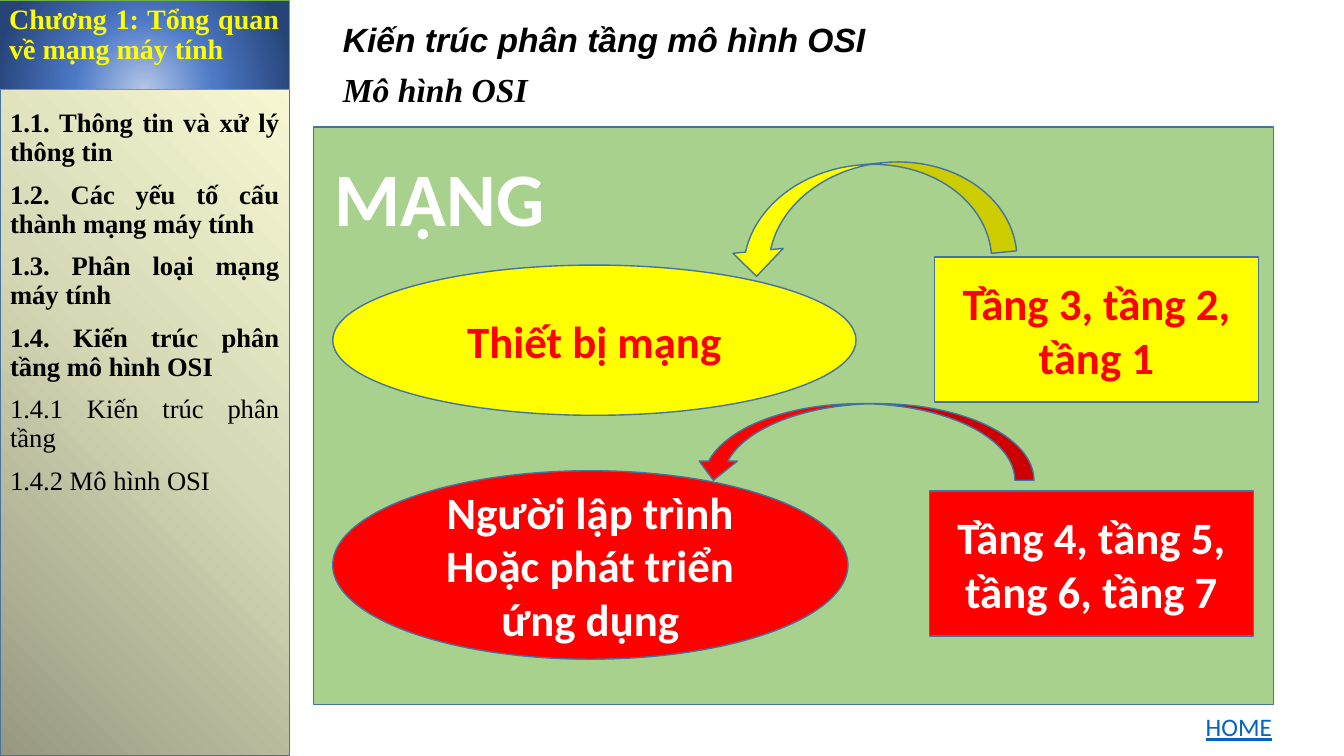
from lxml.etree import SubElement
from pptx import Presentation
from pptx.dml.color import RGBColor
from pptx.enum.shapes import MSO_CONNECTOR, MSO_SHAPE
from pptx.enum.text import MSO_ANCHOR, MSO_AUTO_SIZE, PP_ALIGN
from pptx.oxml import parse_xml
from pptx.oxml.ns import nsdecls, qn
from pptx.util import Emu, Pt

PX = 9144  # 100 px to the inch
BLACK = RGBColor(0x00, 0x00, 0x00)
WHITE = RGBColor(0xFF, 0xFF, 0xFF)
RED = RGBColor(0xFF, 0x00, 0x00)
YELLOW = RGBColor(0xFF, 0xFF, 0x00)
GREEN = RGBColor(0xA9, 0xD1, 0x8E)
BORDER_GREEN = RGBColor(0x70, 0xAD, 0x47)
OUTLINE_BLUE = RGBColor(0x43, 0x73, 0x9E)
RULE_BLUE = RGBColor(0x5B, 0x9B, 0xD5)
LINK_BLUE = RGBColor(0x05, 0x63, 0xC1)


def write(sp, lines, font, size, color, align):
    """Fill a shape with bold paragraphs; placeholders lose their bullets."""
    tf = sp.text_frame
    tf.text = "\n".join(lines)
    tf.word_wrap = True
    for i, p in enumerate(tf.paragraphs):
        p.alignment = align
        if sp.is_placeholder:
            p.line_spacing = 0.9
            p.space_before = Pt(10 if i else 0)
            pPr = p._p.get_or_add_pPr()
            pPr.set("marL", "0")
            pPr.set("indent", "0")
            SubElement(pPr, qn("a:buNone"))
        f = p.runs[0].font
        f.name, f.size, f.bold = font, Pt(size), True
        f.color.rgb = color
    return tf


def gradient(sp, stops, direction):
    """Give a shape a gradient fill; stops are (percent, colour)."""
    gs = "".join(f'<a:gs pos="{pos * 1000}"><a:srgbClr val="{c}"/></a:gs>' for pos, c in stops)
    sp.fill.background()
    spPr = sp._element.spPr
    spPr.replace(spPr.find(qn("a:noFill")), parse_xml(
        f'<a:gradFill {nsdecls("a")} rotWithShape="1"><a:gsLst>{gs}</a:gsLst>{direction}</a:gradFill>'))


prs = Presentation()
prs.slide_width, prs.slide_height = Emu(1333 * PX), Emu(750 * PX)
s = prs.slides.add_slide(prs.slide_layouts[3])
chapter, heading, outline = s.placeholders

# Sidebar background and rule, behind the placeholders
rule = s.shapes.add_connector(MSO_CONNECTOR.STRAIGHT, 287 * PX, 0, 287 * PX, 750 * PX)
rule.line.color.rgb, rule.line.width = RULE_BLUE, Pt(1.5)
SubElement(rule._element.spPr, qn("a:effectLst"))
sidebar = s.shapes.add_shape(MSO_SHAPE.RECTANGLE, 0, 0, 287 * PX, 750 * PX)
sidebar.shadow.inherit = False
gradient(sidebar, [(0, "979880"), (50, "D7D8B5"), (100, "FEFFD9")],
         '<a:lin ang="18900000" scaled="0"/>')
sidebar.line.color.rgb, sidebar.line.width = OUTLINE_BLUE, Pt(1)
for i, sp in enumerate((rule, sidebar)):
    s.shapes._spTree.insert(2 + i, sp._element)

# Chapter title, slide heading and chapter outline
for sp, box in ((chapter, (-1, 0, 288, 89)), (heading, (330, 18, 995, 711)),
                (outline, (0, 104, 287, 637))):
    sp.left, sp.top, sp.width, sp.height = (Emu(v * PX) for v in box)
    sp.text_frame.auto_size = MSO_AUTO_SIZE.NONE
    sp.text_frame.vertical_anchor = MSO_ANCHOR.TOP

write(chapter, ["Chương 1: Tổng quan về mạng máy tính"],
      "Times New Roman", 20, YELLOW, PP_ALIGN.JUSTIFY)
gradient(chapter, [(0, "B4C7E7"), (46, "4D79C7"), (100, "264478")],
         '<a:path path="circle"><a:fillToRect l="50000" t="130000" r="50000" b="-30000"/></a:path>')
chapter.line.color.rgb, chapter.line.width = BORDER_GREEN, Pt(0.5)

tf = write(heading, ["Kiến trúc phân tầng mô hình OSI", "Mô hình OSI"],
           "Arial", 24, BLACK, PP_ALIGN.LEFT)
for p in tf.paragraphs:
    p.runs[0].font.italic = True
tf.paragraphs[1].runs[0].font.name = "Times New Roman"

tf = write(outline, [
    "1.1. Thông tin và xử lý thông tin",
    "1.2. Các yếu tố cấu thành mạng máy tính",
    "1.3. Phân loại mạng máy tính",
    "1.4. Kiến trúc phân tầng mô hình OSI",
    "1.4.1 Kiến trúc phân tầng",
    "1.4.2 Mô hình OSI",
], "Times New Roman", 19, BLACK, PP_ALIGN.JUSTIFY)
for p in tf.paragraphs[4:]:
    p.runs[0].font.bold = False

# Network diagram: kind, box, rotation, fill, text colour, lines
RECT, OVAL, ARROW = MSO_SHAPE.RECTANGLE, MSO_SHAPE.OVAL, MSO_SHAPE.CURVED_RIGHT_ARROW
for kind, box, rotation, fill, color, lines in (
    (RECT, (311, 126, 952, 573), 0, GREEN, None, []),
    (OVAL, (330, 263, 519, 149), 0, YELLOW, RED, ["Thiết bị mạng"]),
    (OVAL, (330, 467, 511, 187), 0, RED, WHITE, ["Người lập trình", "Hoặc phát triển ứng dụng"]),
    (RECT, (927, 255, 321, 144), 0, YELLOW, RED, ["Tầng 3, tầng 2, tầng 1"]),
    (RECT, (922, 487, 321, 144), 0, RED, WHITE, ["Tầng 4, tầng 5, tầng 6, tầng 7"]),
    (ARROW, (812, 71, 100, 284), 84.4, YELLOW, None, []),
    (ARROW, (819, 270, 76, 337), 90, RED, None, []),
):
    sp = s.shapes.add_shape(kind, *(v * PX for v in box))
    sp.shadow.inherit = False
    sp.rotation = rotation
    sp.fill.solid()
    sp.fill.fore_color.rgb = fill
    sp.line.color.rgb, sp.line.width = OUTLINE_BLUE, Pt(1)
    if lines:
        tf = write(sp, lines, "Calibri", 32, color, PP_ALIGN.CENTER)
        tf.vertical_anchor = MSO_ANCHOR.MIDDLE

# Labels
network = s.shapes.add_textbox(312 * PX, 145 * PX, 248 * PX, 101 * PX)
write(network, ["MẠNG"], "Calibri", 54, WHITE, PP_ALIGN.CENTER)
home = s.shapes.add_textbox(1186 * PX, 701 * PX, 91 * PX, 40 * PX)
tf = write(home, ["HOME"], "Calibri", 18, LINK_BLUE, PP_ALIGN.LEFT)
r = tf.paragraphs[0].runs[0]
r.font.bold, r.font.underline = False, True

prs.save("out.pptx")
